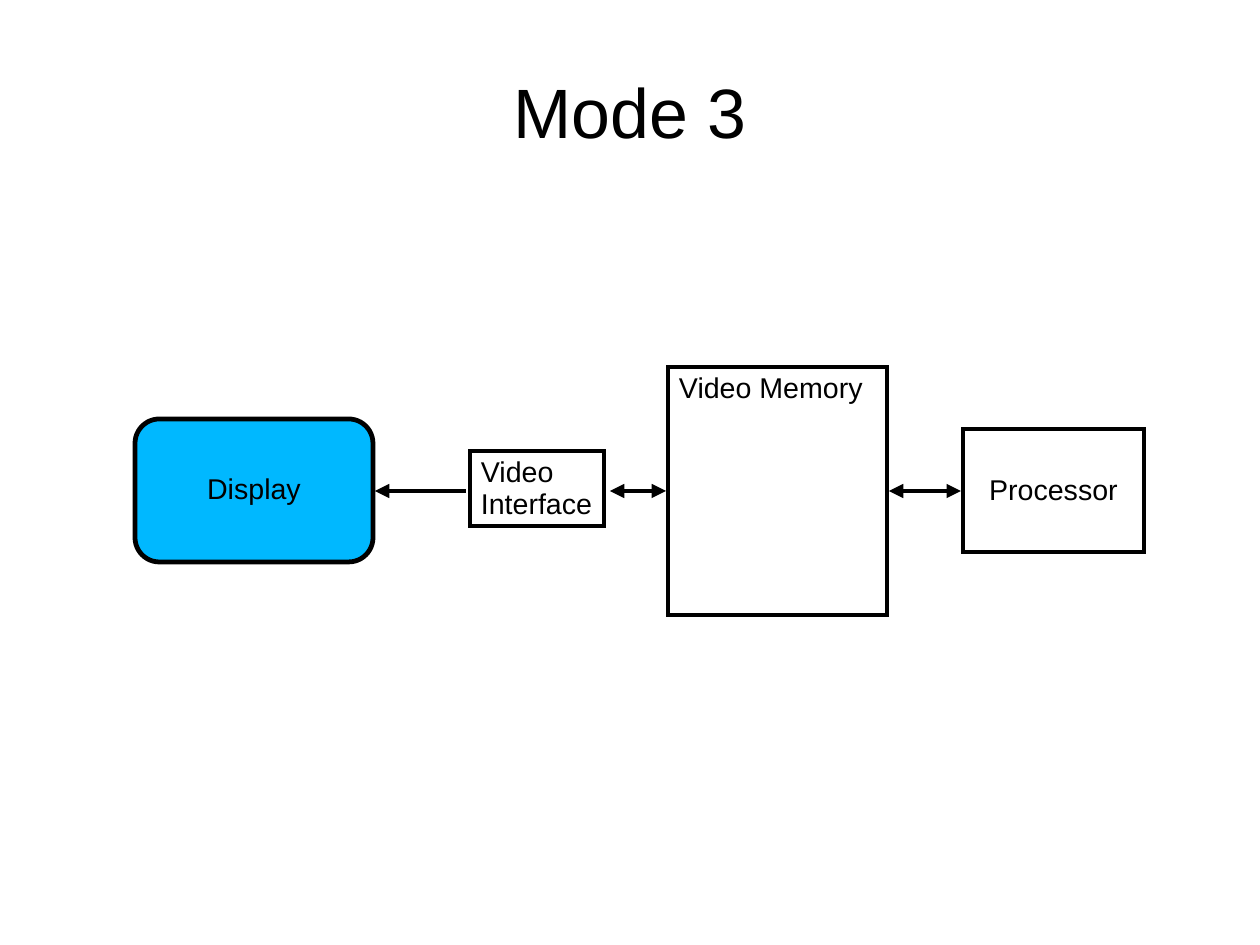
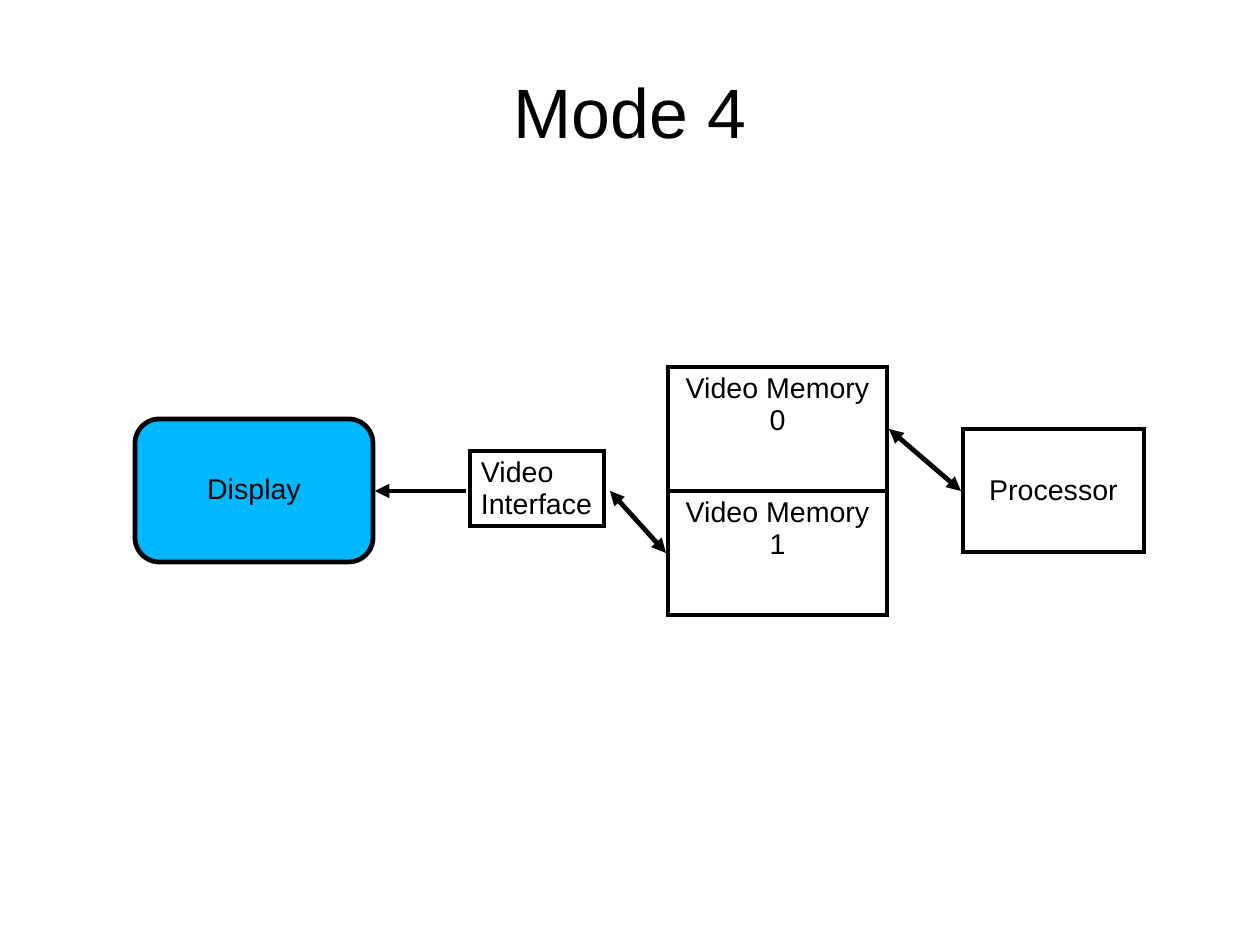
from dataclasses import dataclass

import pptx
import pptx.dml.color
import pptx.enum.shapes
import pptx.enum.text
import pptx.oxml
import pptx.oxml.ns
import pptx.shapes.autoshape
import pptx.slide
import pptx.text.text
import pptx.util

PX = pptx.util.Emu(8000)
ALIGN = pptx.enum.text.PP_ALIGN
ANCHOR = pptx.enum.text.MSO_ANCHOR
SHAPE = pptx.enum.shapes.MSO_SHAPE
RGB = pptx.dml.color.RGBColor


@dataclass(frozen=True)
class Theme:
    ink: RGB = RGB(0x00, 0x00, 0x00)
    paper: RGB = RGB(0xFF, 0xFF, 0xFF)
    screen: RGB = RGB(0x00, 0xB8, 0xFF)
    font: str = "Arial"
    title_size: int = 44
    label_size: int = 18
    stroke: int = 3
    line_spacing: float = 0.93
    inset_x: int = 11
    inset_y: int = 6
    corner: float = 0.17


@dataclass(frozen=True)
class Block:
    label: str
    left: int
    top: int
    width: int
    height: int
    align: ALIGN = ALIGN.CENTER
    anchor: ANCHOR = ANCHOR.MIDDLE
    wrap: bool = True
    outline: SHAPE = SHAPE.RECTANGLE
    fill: RGB | None = None


@dataclass(frozen=True)
class Link:
    start: tuple[int, int]
    end: tuple[int, int]
    two_way: bool = True


@dataclass(frozen=True)
class Mode:
    title: str
    memory: list[Block]
    interface_target_y: int
    processor_source_y: int


THEME = Theme()
SLIDE_WIDTH, SLIDE_HEIGHT = 1260, 945
TITLE_BOX = (63, 37, 1134, 157)
AXIS_Y = 491
MEMORY_LEFT, MEMORY_TOP, MEMORY_WIDTH, MEMORY_HEIGHT = 668, 367, 219, 248
BANK_HEIGHT = MEMORY_HEIGHT // 2

DISPLAY = Block("Display", 135, 419, 238, 143,
                outline=SHAPE.ROUNDED_RECTANGLE, fill=THEME.screen)
INTERFACE = Block("Video\nInterface", 470, 451, 134, 75,
                  align=ALIGN.LEFT, anchor=ANCHOR.TOP, wrap=False)
PROCESSOR = Block("Processor", 963, 429, 181, 123)
DISPLAY_LINK = Link((466, AXIS_Y), (375, AXIS_Y), two_way=False)

SINGLE_MEMORY = Block("Video Memory", MEMORY_LEFT, MEMORY_TOP, MEMORY_WIDTH,
                      MEMORY_HEIGHT, align=ALIGN.LEFT, anchor=ANCHOR.TOP)
MEMORY_BANKS = [
    Block(f"Video Memory\n{bank}", MEMORY_LEFT, MEMORY_TOP + bank * BANK_HEIGHT,
          MEMORY_WIDTH, BANK_HEIGHT, anchor=ANCHOR.TOP)
    for bank in range(2)
]
BANK_MIDDLES = [bank.top + bank.height // 2 for bank in MEMORY_BANKS]

MODES = [
    Mode("Mode 3", [SINGLE_MEMORY], AXIS_Y, AXIS_Y),
    Mode("Mode 4", MEMORY_BANKS, BANK_MIDDLES[1], BANK_MIDDLES[0]),
]


def put_text(frame: pptx.text.text.TextFrame, text: str, *, size: int,
             align: ALIGN = ALIGN.CENTER, anchor: ANCHOR = ANCHOR.MIDDLE,
             wrap: bool = True, inset_x: int = 0, inset_y: int = 0) -> None:
    frame.word_wrap = wrap
    frame.vertical_anchor = anchor
    frame.margin_left = frame.margin_right = inset_x * PX
    frame.margin_top = frame.margin_bottom = inset_y * PX
    frame.text = text
    for paragraph in frame.paragraphs:
        paragraph.alignment = align
        paragraph.line_spacing = THEME.line_spacing
        paragraph.font.name = THEME.font
        paragraph.font.size = pptx.util.Pt(size)
        paragraph.font.color.rgb = THEME.ink


def add_line_part(parent, tag: str, **attributes: str) -> None:
    part = pptx.oxml.parse_xml(f"<{tag} {pptx.oxml.ns.nsdecls('a')}/>")
    for key, value in attributes.items():
        part.set(key, value)
    parent.append(part)


def draw_block(slide: pptx.slide.Slide, block: Block) -> None:
    shape = slide.shapes.add_shape(block.outline, block.left * PX, block.top * PX,
                                   block.width * PX, block.height * PX)
    shape.shadow.inherit = False
    if block.outline == SHAPE.ROUNDED_RECTANGLE:
        shape.adjustments[0] = THEME.corner
    if block.fill is None:
        shape.fill.background()
    else:
        shape.fill.solid()
        shape.fill.fore_color.rgb = block.fill
    shape.line.color.rgb = THEME.ink
    shape.line.width = pptx.util.Pt(THEME.stroke)
    add_line_part(shape.line._get_or_add_ln(), "a:miter", lim="800000")
    put_text(shape.text_frame, block.label, size=THEME.label_size,
             align=block.align, anchor=block.anchor, wrap=block.wrap,
             inset_x=THEME.inset_x, inset_y=THEME.inset_y)


def draw_link(slide: pptx.slide.Slide, link: Link) -> None:
    arrow = slide.shapes.add_connector(
        pptx.enum.shapes.MSO_CONNECTOR.STRAIGHT,
        *(value * PX for value in link.start + link.end))
    arrow.line.color.rgb = THEME.ink
    arrow.line.width = pptx.util.Pt(THEME.stroke)
    stroke = arrow.line._get_or_add_ln()
    if link.two_way:
        add_line_part(stroke, "a:headEnd", type="triangle")
    add_line_part(stroke, "a:tailEnd", type="triangle")
    add_line_part(arrow._element.spPr, "a:effectLst")


def draw_mode(deck, mode: Mode) -> None:
    slide = deck.slides.add_slide(deck.slide_layouts[6])
    slide.background.fill.solid()
    slide.background.fill.fore_color.rgb = THEME.paper
    title = slide.shapes.add_textbox(*(value * PX for value in TITLE_BOX))
    put_text(title.text_frame, mode.title, size=THEME.title_size)
    for block in [DISPLAY, INTERFACE, *mode.memory, PROCESSOR]:
        draw_block(slide, block)
    for link in [
        DISPLAY_LINK,
        Link((610, AXIS_Y), (666, mode.interface_target_y)),
        Link((889, mode.processor_source_y), (961, AXIS_Y)),
    ]:
        draw_link(slide, link)


def main() -> None:
    deck = pptx.Presentation()
    deck.slide_width = SLIDE_WIDTH * PX
    deck.slide_height = SLIDE_HEIGHT * PX
    for mode in MODES:
        draw_mode(deck, mode)
    deck.save("out.pptx")


if __name__ == "__main__":
    main()
